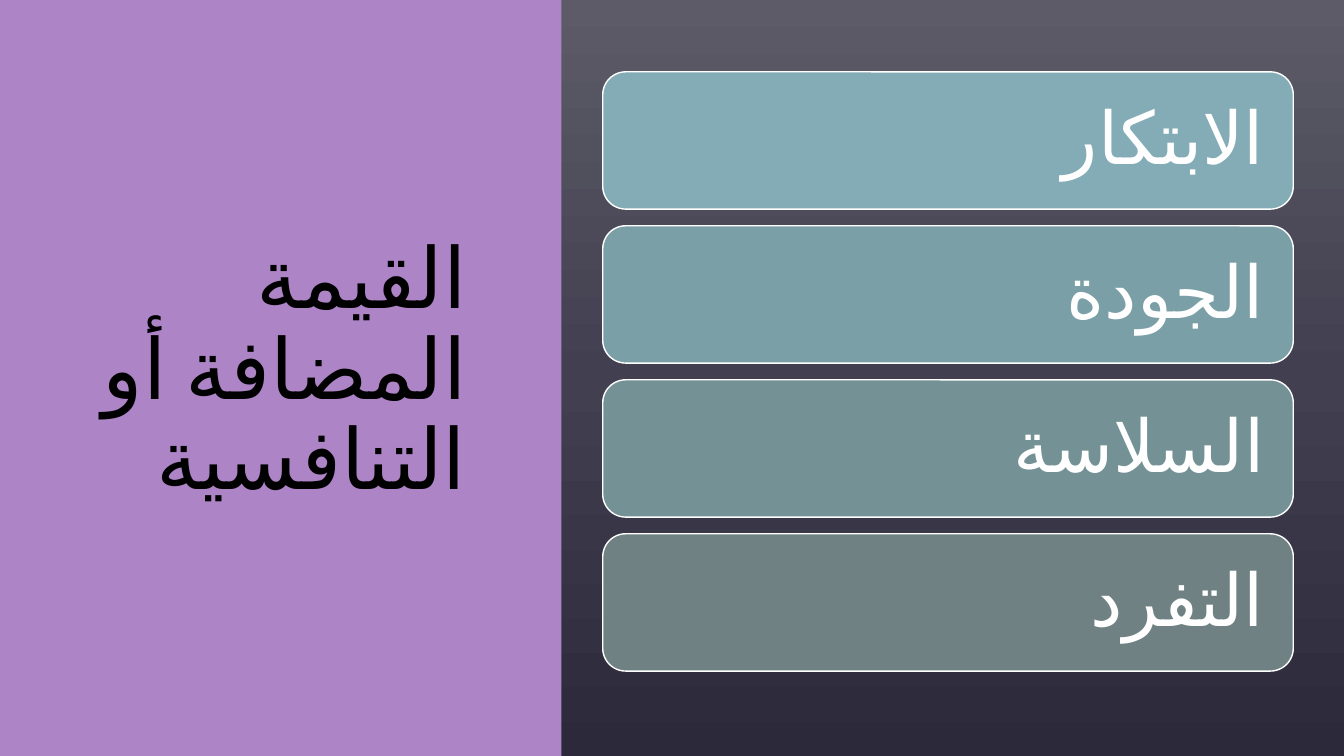
from copy import deepcopy
from dataclasses import dataclass

from lxml import etree
from pptx import Presentation, util as u
from pptx.dml import color
from pptx.enum import lang, shapes, text
from pptx.oxml import ns

SLIDE_WIDTH, SLIDE_HEIGHT = u.Inches(13.333), u.Inches(7.5)
FONT = "Calibri"
COLORS = {
    "sky_top": "5C5B67",
    "sky_middle": "424050",
    "sky_bottom": "2C2A3A",
    "panel": "AD84C6",
    "heading": "000000",
    "light": "FFFFFF",
    "innovation": "84ACB6",
    "quality": "7B9FA7",
    "smoothness": "749296",
    "uniqueness": "6F8183",
}


@dataclass(frozen=True)
class Area:
    """Left, top, width and height in percent of the slide."""
    left: float
    top: float
    width: float
    height: float

    def emu(self) -> tuple[int, int, int, int]:
        return (
            round(SLIDE_WIDTH * self.left / 100),
            round(SLIDE_HEIGHT * self.top / 100),
            round(SLIDE_WIDTH * self.width / 100),
            round(SLIDE_HEIGHT * self.height / 100),
        )


@dataclass(frozen=True)
class Advantage:
    label: str
    fill: str


PANEL = Area(0, 0, 41.78, 100)
HEADING = Area(4.28, 9.07, 31.2, 80.27)
FIRST_BAR = Area(44.85, 9.5, 51.38, 18.16)
BAR_PITCH = 20.37
ADVANTAGES = [
    Advantage("الابتكار", "innovation"),
    Advantage("الجودة", "quality"),
    Advantage("السلاسة", "smoothness"),
    Advantage("التفرد", "uniqueness"),
]


def rgb(name: str) -> color.RGBColor:
    return color.RGBColor.from_string(COLORS[name])


def paint_background(slide) -> None:
    fill = slide.background.fill
    fill.gradient()
    fill.gradient_angle = 270
    first = fill.gradient_stops[0]._gs
    first.addnext(deepcopy(first))
    for stop, position, name in zip(
        fill.gradient_stops, (0, 0.5, 1), ("sky_top", "sky_middle", "sky_bottom")
    ):
        stop.position = position
        stop.color.rgb = rgb(name)


def write_arabic(frame, wording: str, size: int, ink: str) -> None:
    frame.text = wording
    frame.word_wrap = True
    frame.auto_size = text.MSO_AUTO_SIZE.NONE
    frame.vertical_anchor = text.MSO_ANCHOR.MIDDLE
    paragraph = frame.paragraphs[0]
    paragraph.alignment = text.PP_ALIGN.RIGHT
    paragraph.line_spacing = 0.9
    font = paragraph.font
    font.size = u.Pt(size)
    font.name = FONT
    font.language_id = lang.MSO_LANGUAGE_ID.ARABIC
    font.color.rgb = rgb(ink)
    properties = paragraph._p.get_or_add_pPr()
    properties.set("rtl", "1")
    etree.SubElement(properties.find(ns.qn("a:defRPr")), ns.qn("a:cs"), typeface=FONT)


def add_block(slide, kind: shapes.MSO_SHAPE, area: Area, fill: str):
    block = slide.shapes.add_shape(kind, *area.emu())
    block.shadow.inherit = False
    block.fill.solid()
    block.fill.fore_color.rgb = rgb(fill)
    block.line.fill.background()
    return block


def add_heading(slide) -> None:
    heading = slide.shapes.title
    heading.left, heading.top, heading.width, heading.height = HEADING.emu()
    write_arabic(heading.text_frame, "القيمة المضافة أو التنافسية", 60, "heading")
    panel = add_block(slide, shapes.MSO_SHAPE.RECTANGLE, PANEL, "panel")
    heading._element.addprevious(panel._element)


def add_bar(slide, row: int, advantage: Advantage) -> None:
    area = Area(
        FIRST_BAR.left, FIRST_BAR.top + row * BAR_PITCH, FIRST_BAR.width, FIRST_BAR.height
    )
    bar = add_block(slide, shapes.MSO_SHAPE.ROUNDED_RECTANGLE, area, advantage.fill)
    bar.line.color.rgb = rgb("light")
    bar.line.width = u.Pt(1)
    frame = bar.text_frame
    frame.margin_left = frame.margin_right = u.Inches(0.22)
    frame.margin_top = frame.margin_bottom = u.Inches(0.22)
    write_arabic(frame, advantage.label, 52, "light")


def main() -> None:
    deck = Presentation()
    deck.slide_width, deck.slide_height = SLIDE_WIDTH, SLIDE_HEIGHT
    slide = deck.slides.add_slide(deck.slide_layouts[5])
    paint_background(slide)
    add_heading(slide)
    for row, advantage in enumerate(ADVANTAGES):
        add_bar(slide, row, advantage)
    deck.save("out.pptx")


if __name__ == "__main__":
    main()
